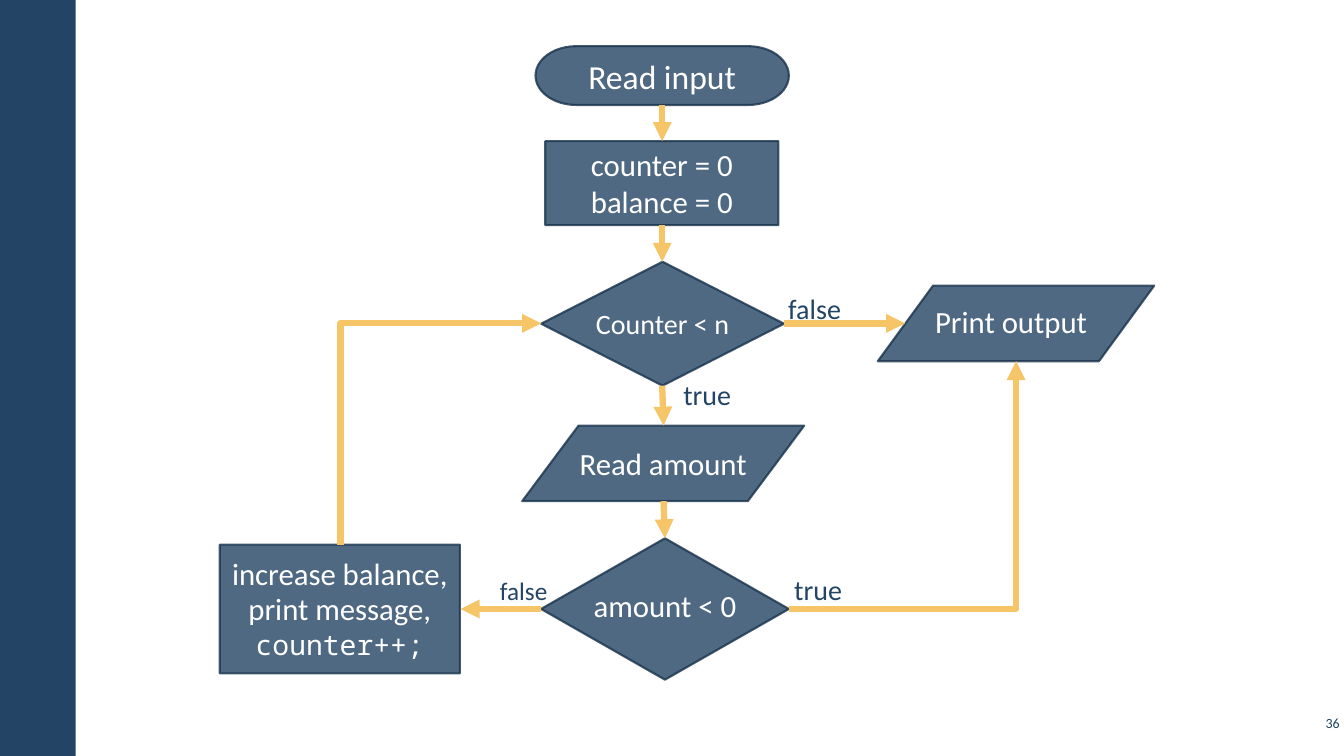
from dataclasses import dataclass

from lxml import etree
from pptx import Presentation
from pptx import util as u
from pptx.dml.color import RGBColor
from pptx.enum import shapes, text
from pptx.oxml import ns

HUES = {"navy": "234465", "edge": "1A334C", "gold": "F5C567", "white": "FFFFFF"}
KIND = shapes.MSO_SHAPE
LINK = shapes.MSO_CONNECTOR
ALIGN = text.PP_ALIGN
ANCHOR = text.MSO_ANCHOR


@dataclass
class Node:
    kind: KIND
    words: str
    box: tuple[float, float, float, float]
    size: float = 22
    lead: float | None = None
    right: float = 0  # right inset, moves the words left
    base: float = 0  # bottom inset, moves the words up


@dataclass
class Label:
    words: str
    left: float
    top: float
    size: float = 20


@dataclass
class Arrow:
    start: tuple[float, float]
    end: tuple[float, float]
    bent: bool = False
    turn: int = 0  # degrees; start and end are then those of the unturned box


NODES = [
    Node(KIND.FLOWCHART_TERMINATOR, "Read input", (382.5, 33, 181, 42), 24),
    Node(KIND.FLOWCHART_PROCESS, "counter = 0\nbalance = 0", (389.5, 100.8, 166.5, 60)),
    Node(KIND.FLOWCHART_DECISION, "Counter < n", (386.5, 187, 173.5, 88.5), 20),
    Node(KIND.FLOWCHART_DATA, "Read amount", (373, 304, 201.5, 54)),
    Node(KIND.FLOWCHART_DECISION, "amount < 0", (386.5, 384.5, 177, 101), base=5),
    Node(KIND.FLOWCHART_DATA, "Print output", (627, 204, 197.5, 54), right=7, base=3),
]
STEP = Node(KIND.FLOWCHART_PROCESS, "increase balance,\nprint message,\ncounter++;",
            (157, 389, 171.5, 92), lead=25)

LABELS = [
    Label("true", 476.6, 258.5),
    Label("false", 551.5, 197.3),
    Label("true", 555.8, 398.2),
    Label("false", 345.6, 400.3, 18),
]

ARROWS = [
    Arrow((473, 75), (473, 100.8)),
    Arrow((473, 160.8), (473, 187)),
    Arrow((473, 275.5), (474, 304)),
    Arrow((474, 358), (475, 384.5)),
    Arrow((560, 231), (646.5, 231)),
    Arrow((386.5, 435), (329, 435)),
    Arrow((563.5, 435), (725.8, 258), bent=True),
    Arrow((393.8, 381.7), (235.8, 238.3), bent=True, turn=90),
]


def tint(name: str) -> RGBColor:
    return RGBColor.from_string(HUES[name])


def fade(part, share: int) -> None:
    """Set the opacity, in percent, of the solid colour inside an XML part."""
    color = part.find(ns.qn("a:solidFill"))[0]
    etree.SubElement(color, ns.qn("a:alpha")).set("val", str(share * 1000))


def write(frame, words: str, *, size: float, hue: str = "white", align=ALIGN.CENTER,
          anchor=ANCHOR.MIDDLE, lead=None, wrap: bool = False,
          pad: tuple[float, float, float, float] = (0, 0, 0, 0)) -> None:
    frame.word_wrap = wrap
    frame.vertical_anchor = anchor
    frame.margin_left, frame.margin_top, frame.margin_right, frame.margin_bottom = map(u.Pt, pad)
    frame.text = words
    for para in frame.paragraphs:
        para.alignment = align
        if lead:
            para.line_spacing = lead
        font = para.runs[0].font
        font.name, font.size = "Calibri", u.Pt(size)
        font.color.rgb = tint(hue)


def draw_node(slide, node: Node):
    shape = slide.shapes.add_shape(node.kind, *map(u.Pt, node.box))
    shape.shadow.inherit = False
    shape.fill.solid()
    shape.fill.fore_color.rgb = tint("navy")
    shape.line.color.rgb = tint("edge")
    shape.line.width = u.Pt(1.5)
    props = shape._element.spPr
    fade(props, 80)
    fade(props.find(ns.qn("a:ln")), 80)
    write(shape.text_frame, node.words, size=node.size,
          lead=u.Pt(node.lead) if node.lead else None, pad=(0, 0, node.right, node.base))
    return shape


def draw_label(slide, label: Label) -> None:
    box = slide.shapes.add_textbox(*map(u.Pt, (label.left, label.top, 76, 43)))
    write(box.text_frame, label.words, size=label.size, hue="navy", align=ALIGN.LEFT,
          anchor=ANCHOR.TOP, lead=1.1, wrap=True, pad=(11.5, 8.6, 11.5, 8.6))


def draw_arrow(slide, arrow: Arrow) -> None:
    kind = LINK.ELBOW if arrow.bent else LINK.STRAIGHT
    link = slide.shapes.add_connector(kind, *map(u.Pt, arrow.start + arrow.end))
    link.line.color.rgb = tint("gold")
    link.line.width = u.Pt(4.5)
    props = link._element.spPr
    etree.SubElement(props.find(ns.qn("a:ln")), ns.qn("a:tailEnd")).set("type", "triangle")
    etree.SubElement(props, ns.qn("a:effectLst"))
    if arrow.bent:  # one corner only
        props.find(ns.qn("a:prstGeom")).set("prst", "bentConnector2")
    if arrow.turn:
        props.find(ns.qn("a:xfrm")).set("rot", str(arrow.turn * 60000))


def main() -> None:
    deck = Presentation()
    deck.slide_width, deck.slide_height = u.Pt(960), u.Pt(540)
    slide = deck.slides.add_slide(deck.slide_layouts[6])

    # Side bar
    bar = slide.shapes.add_shape(KIND.RECTANGLE, 0, 0, u.Pt(54), u.Pt(540))
    bar.shadow.inherit = False
    bar.fill.solid()
    bar.fill.fore_color.rgb = tint("navy")
    bar.line.fill.background()

    # Slide number
    page = slide.shapes.add_textbox(*map(u.Pt, (926, 504, 34, 24.5)))
    write(page.text_frame, "36", size=10, hue="navy", align=ALIGN.RIGHT,
          wrap=True, pad=(3, 3, 3, 3))

    # Flowchart
    for node in NODES:
        draw_node(slide, node)
    step = draw_node(slide, STEP)
    code = step.text_frame.paragraphs[-1].runs[0].font
    code.name, code.size = "Noto Sans Mono", u.Pt(20)

    for arrow in ARROWS:
        draw_arrow(slide, arrow)
    for label in LABELS:
        draw_label(slide, label)

    deck.save("out.pptx")


if __name__ == "__main__":
    main()
